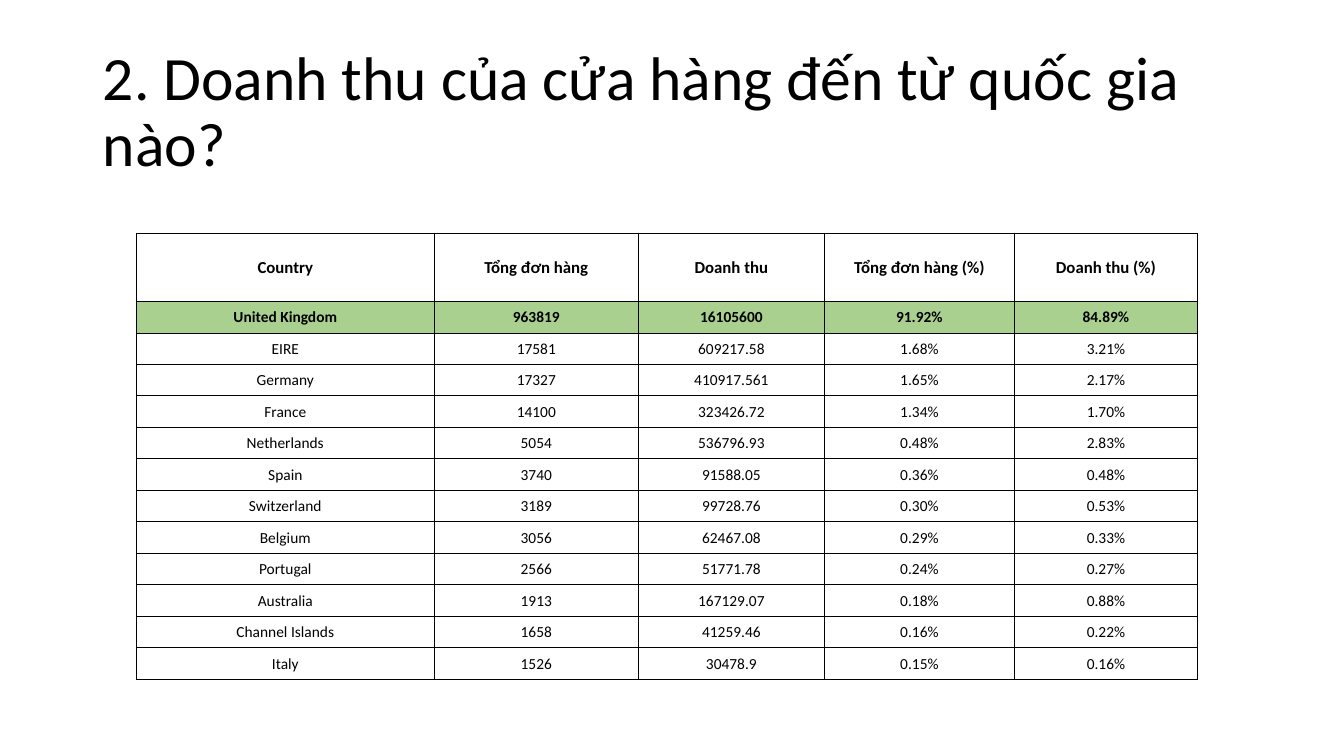
from dataclasses import dataclass
from typing import Any

from lxml.etree import SubElement
from pptx import Presentation
from pptx.dml.color import RGBColor
from pptx.enum.text import MSO_ANCHOR, MSO_AUTO_SIZE, PP_ALIGN
from pptx.oxml.ns import qn
from pptx.slide import Slide
from pptx.table import _Cell
from pptx.text.text import Font
from pptx.util import Inches, Pt


@dataclass(frozen=True)
class Theme:
    font: str = "Calibri"
    ink: str = "000000"
    highlight: str = "A9D08E"
    title_size: float = 44
    header_size: float = 12
    body_size: float = 11
    border_width: float = 0.5


@dataclass(frozen=True)
class CountrySales:
    country: str
    orders: str
    revenue: str
    orders_share: str
    revenue_share: str

    def values(self) -> tuple[str, ...]:
        return (self.country, self.orders, self.revenue,
                self.orders_share, self.revenue_share)


@dataclass(frozen=True)
class RowStyle:
    size: float
    bold: bool = False
    fill: str | None = None


THEME = Theme()
HEADER_STYLE = RowStyle(THEME.header_size, bold=True)
LEADER_STYLE = RowStyle(THEME.body_size, bold=True, fill=THEME.highlight)
COUNTRY_STYLE = RowStyle(THEME.body_size)

TITLE = "2. Doanh thu của cửa hàng đến từ quốc gia nào?"
HEADER = CountrySales("Country", "Tổng đơn hàng", "Doanh thu",
                      "Tổng đơn hàng (%)", "Doanh thu (%)")
SALES = [
    CountrySales("United Kingdom", "963819", "16105600", "91.92%", "84.89%"),
    CountrySales("EIRE", "17581", "609217.58", "1.68%", "3.21%"),
    CountrySales("Germany", "17327", "410917.561", "1.65%", "2.17%"),
    CountrySales("France", "14100", "323426.72", "1.34%", "1.70%"),
    CountrySales("Netherlands", "5054", "536796.93", "0.48%", "2.83%"),
    CountrySales("Spain", "3740", "91588.05", "0.36%", "0.48%"),
    CountrySales("Switzerland", "3189", "99728.76", "0.30%", "0.53%"),
    CountrySales("Belgium", "3056", "62467.08", "0.29%", "0.33%"),
    CountrySales("Portugal", "2566", "51771.78", "0.24%", "0.27%"),
    CountrySales("Australia", "1913", "167129.07", "0.18%", "0.88%"),
    CountrySales("Channel Islands", "1658", "41259.46", "0.16%", "0.22%"),
    CountrySales("Italy", "1526", "30478.9", "0.15%", "0.16%"),
]

COLUMN_WIDTHS = (2.96, 2.02, 1.85, 1.88, 1.82)
TABLE_LEFT, TABLE_TOP, TABLE_HEIGHT = 1.35, 2.31, 4.43
HEADER_HEIGHT = 0.68


def apply_format(target: Any, values: dict[str, Any]) -> None:
    for attribute, value in values.items():
        setattr(target, attribute, value)


def format_font(font: Font, size: float, bold: bool = False) -> None:
    apply_format(font, {"name": THEME.font, "size": Pt(size), "bold": bold})
    font.color.rgb = RGBColor.from_string(THEME.ink)


def add_borders(cell: _Cell) -> None:
    """Rule all four sides; must run before the cell's fill is set."""
    properties = cell._tc.get_or_add_tcPr()
    for side in ("lnL", "lnR", "lnT", "lnB"):
        line = SubElement(properties, qn(f"a:{side}"),
                          w=str(Pt(THEME.border_width)))
        fill = SubElement(line, qn("a:solidFill"))
        SubElement(fill, qn("a:srgbClr"), val=THEME.ink)


def fill_cell(cell: _Cell, text: str, style: RowStyle) -> None:
    apply_format(cell, {
        "text": text,
        "vertical_anchor": MSO_ANCHOR.MIDDLE,
        "margin_left": Inches(0.01),
        "margin_right": Inches(0.01),
        "margin_top": Inches(0.01),
        "margin_bottom": Inches(0),
    })
    paragraph = cell.text_frame.paragraphs[0]
    paragraph.alignment = PP_ALIGN.CENTER
    format_font(paragraph.runs[0].font, style.size, style.bold)
    add_borders(cell)
    if style.fill:
        cell.fill.solid()
        cell.fill.fore_color.rgb = RGBColor.from_string(style.fill)
    else:
        cell.fill.background()


def add_title(slide: Slide) -> None:
    title = slide.shapes.title
    apply_format(title, {"left": Inches(0.92), "top": Inches(0.4),
                         "width": Inches(11.5), "height": Inches(1.45)})
    apply_format(title.text_frame, {
        "text": TITLE,
        "word_wrap": True,
        "auto_size": MSO_AUTO_SIZE.NONE,
        "vertical_anchor": MSO_ANCHOR.MIDDLE,
    })
    paragraph = title.text_frame.paragraphs[0]
    apply_format(paragraph, {"alignment": PP_ALIGN.LEFT, "line_spacing": 0.9})
    format_font(paragraph.runs[0].font, THEME.title_size)


def add_sales_table(slide: Slide) -> None:
    records = [HEADER, *SALES]
    styles = [HEADER_STYLE, LEADER_STYLE] + [COUNTRY_STYLE] * (len(SALES) - 1)
    table = slide.shapes.add_table(
        len(records), len(COLUMN_WIDTHS), Inches(TABLE_LEFT), Inches(TABLE_TOP),
        Inches(sum(COLUMN_WIDTHS)), Inches(TABLE_HEIGHT)).table
    apply_format(table, {"first_row": False, "horz_banding": False})

    for column, width in zip(table.columns, COLUMN_WIDTHS):
        column.width = Inches(width)
    country_height = (TABLE_HEIGHT - HEADER_HEIGHT) / len(SALES)
    heights = [HEADER_HEIGHT] + [country_height] * len(SALES)
    for row, height, record, style in zip(table.rows, heights, records, styles):
        row.height = Inches(height)
        for cell, text in zip(row.cells, record.values()):
            fill_cell(cell, text, style)


def main() -> None:
    presentation = Presentation()
    apply_format(presentation, {"slide_width": Inches(13.33),
                                "slide_height": Inches(7.5)})
    title_only = presentation.slide_layouts.get_by_name("Title Only")
    slide = presentation.slides.add_slide(title_only)
    add_title(slide)
    add_sales_table(slide)
    presentation.save("out.pptx")


if __name__ == "__main__":
    main()
